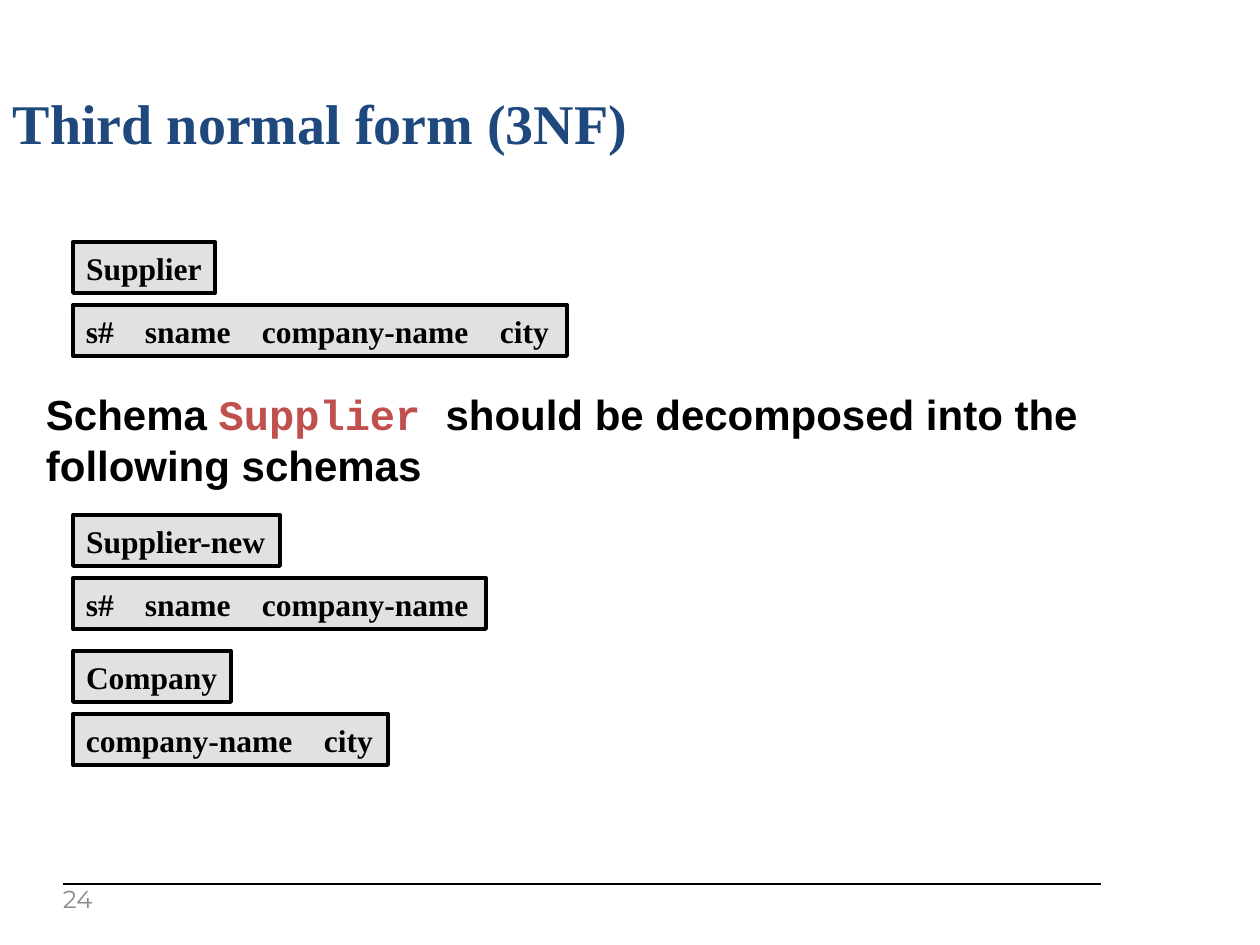
import pptx
import pptx.util
import pptx.dml.color
import pptx.enum.shapes
import pptx.enum.text
import lxml.etree

RGB = pptx.dml.color.RGBColor
ANCHOR = pptx.enum.text.MSO_ANCHOR
BLACK = RGB(0x00, 0x00, 0x00)
NAVY = RGB(0x1F, 0x49, 0x7D)
RED = RGB(0xC0, 0x50, 0x4D)
PALE = RGB(0xE0, 0xE2, 0xE2)
GREY = RGB(0x8B, 0x8B, 0x8B)
SERIF = "Times New Roman"
NS = "http://schemas.openxmlformats.org/drawingml/2006/main"


def px(n):
    return pptx.util.Emu(round(n * 914400 / 126))


def frame(shape, anchor, insets):
    text = shape.text_frame
    text.word_wrap = True
    text.auto_size = pptx.enum.text.MSO_AUTO_SIZE.NONE
    text.vertical_anchor = anchor
    (text.margin_left, text.margin_top,
     text.margin_right, text.margin_bottom) = map(px, insets)
    para = text.paragraphs[0]
    para.alignment = pptx.enum.text.PP_ALIGN.LEFT
    return para


def add_run(para, words, size, face, color, bold=True):
    run = para.add_run()
    run.text = words
    font = run.font
    font.size = pptx.util.Pt(size)
    font.name = face
    font.bold = bold
    font.color.rgb = color


def set_tabs(para, stops):
    tabs = lxml.etree.SubElement(para._p.get_or_add_pPr(), f"{{{NS}}}tabLst")
    for stop in stops:
        lxml.etree.SubElement(tabs, f"{{{NS}}}tab", pos=str(px(stop)), algn="l")


def title(slide, x, y, w, h):
    shape = slide.shapes.title
    shape.left, shape.top, shape.width, shape.height = map(px, (x, y, w, h))
    para = frame(shape, ANCHOR.BOTTOM, (13, 6, 13, 6))
    add_run(para, "Third normal form (3NF)", 32, SERIF, NAVY)


def label(slide, x, y, w, words, stops=()):
    shape = slide.shapes.add_shape(
        pptx.enum.shapes.MSO_SHAPE.RECTANGLE, px(x), px(y), px(w), px(51))
    shape.shadow.inherit = False
    shape.fill.solid()
    shape.fill.fore_color.rgb = PALE
    shape.line.color.rgb = BLACK
    shape.line.width = pptx.util.Pt(2.25)
    para = frame(shape, ANCHOR.MIDDLE, (13, 6, 0, 6))
    if stops:
        set_tabs(para, stops)
    add_run(para, words, 18, SERIF, BLACK)


def schema(slide, x, y, name, name_w, fields, field_w, stops):
    # Relation name above its attribute row
    label(slide, x, y, name_w, name)
    label(slide, x, y + 63, field_w, "\t".join(fields), stops)


def note(slide, x, y, w, h):
    box = slide.shapes.add_textbox(*map(px, (x, y, w, h)))
    para = frame(box, ANCHOR.TOP, (25, 11, 25, 6))
    for words, face, color in (
            ("Schema ", "Arial", BLACK),
            ("Supplier ", "Courier New", RED),
            ("should be decomposed into the following schemas", "Arial", BLACK)):
        add_run(para, words, 24, face, color)


def footer(slide, x, y, w):
    rule = slide.shapes.add_connector(
        pptx.enum.shapes.MSO_CONNECTOR.STRAIGHT, px(x), px(y), px(x + w), px(y))
    rule.line.color.rgb = BLACK
    rule.line.width = pptx.util.Pt(0.75)
    lxml.etree.SubElement(rule._element.spPr, f"{{{NS}}}effectLst")
    box = slide.shapes.add_textbox(px(x), px(y + 5), px(50), px(26))
    para = frame(box, ANCHOR.MIDDLE, (0, 0, 13, 6))
    add_run(para, "24", 14, "Montserrat", GREY, False)


def main():
    deck = pptx.Presentation()
    deck.slide_width, deck.slide_height = px(1260), px(945)
    slide = deck.slides.add_slide(deck.slide_layouts[5])
    footer(slide, 63, 884, 1038)
    title(slide, 0, 78, 1260, 84)
    note(slide, 21, 378, 1260, 113)

    # Schemas before and after the split
    schema(slide, 73, 242, "Supplier", 142,
           ("s#", "sname", "company-name", "city"), 494, (59, 176, 414))
    schema(slide, 73, 515, "Supplier-new", 207,
           ("s#", "sname", "company-name"), 413, (59, 176))
    schema(slide, 73, 651, "Company", 158,
           ("company-name", "city"), 315, (238,))
    deck.save("out.pptx")


if __name__ == "__main__":
    main()
